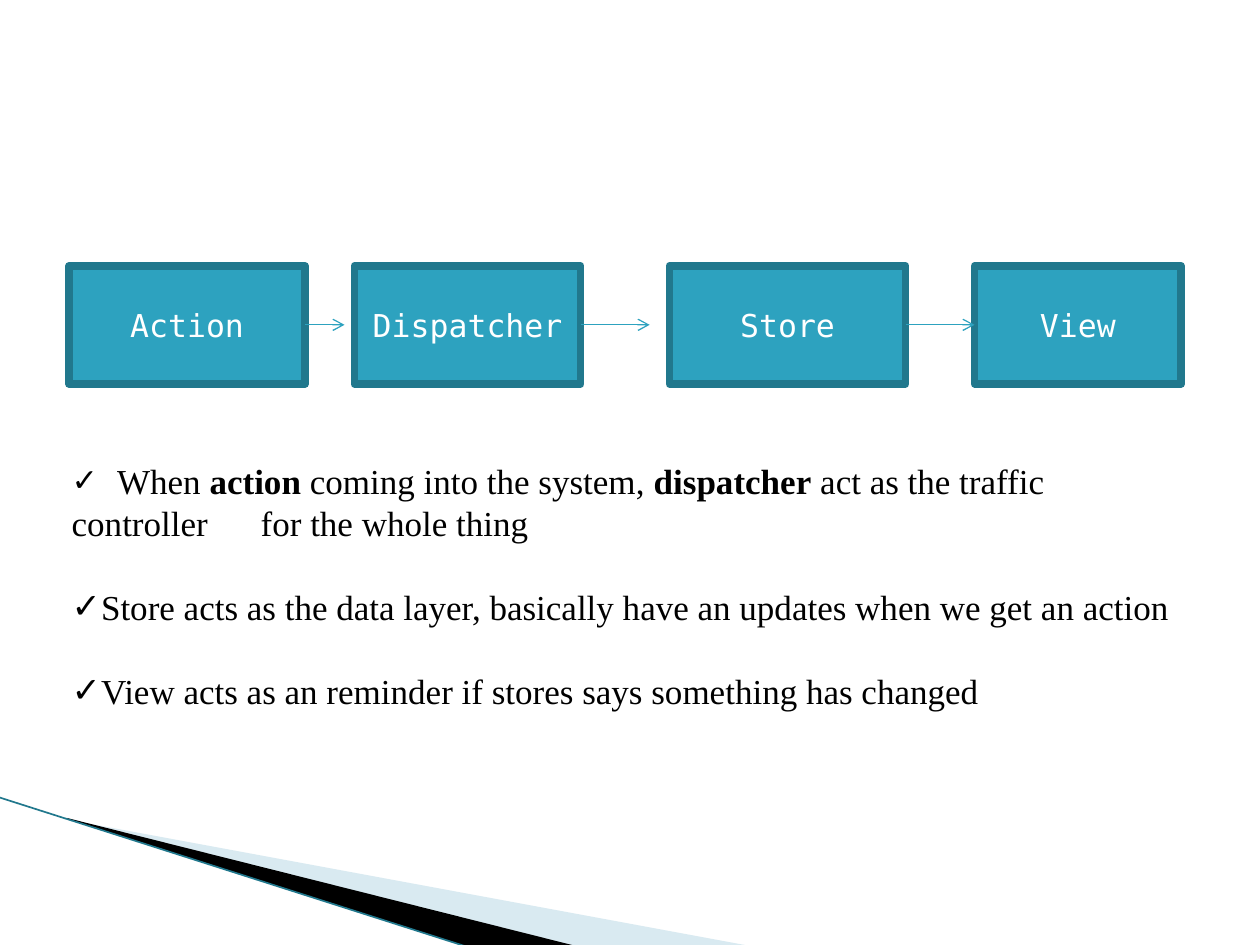
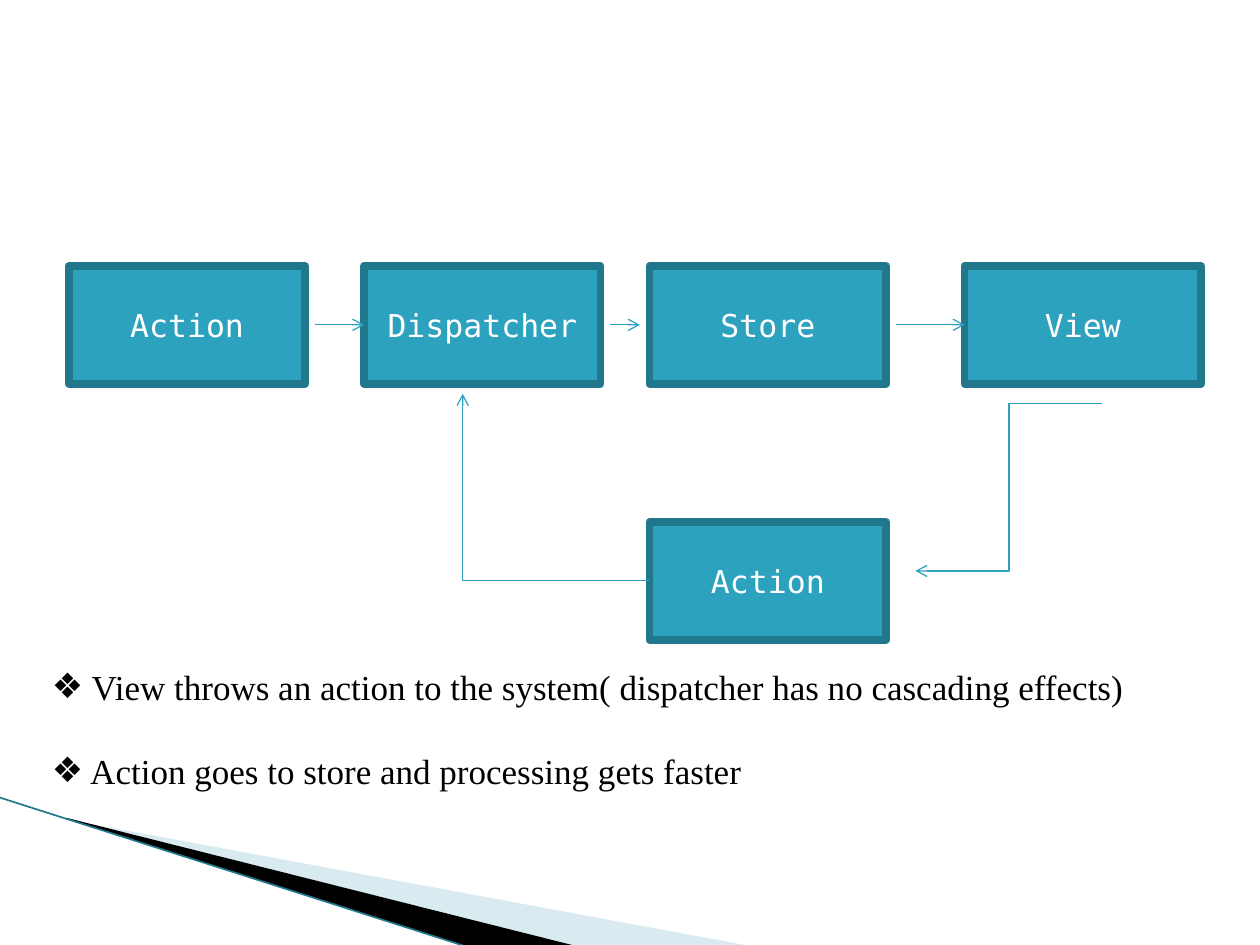
"""Build two flow-diagram slides with a shared corner band."""
from dataclasses import dataclass
from typing import NamedTuple

from pptx import Presentation
from pptx.dml.color import RGBColor as Color
from pptx.enum.shapes import MSO_CONNECTOR as Route, MSO_SHAPE as Preset
from pptx.enum.text import MSO_ANCHOR as Anchor, MSO_AUTO_SIZE as Fit, PP_ALIGN as Align
from pptx.oxml.ns import qn
from pptx.oxml.xmlchemy import OxmlElement as make
from pptx.util import Emu, Inches, Pt

COLUMNS = 128
CELL = Inches(10) / COLUMNS


@dataclass(frozen=True)
class Theme:
    """Colours, fonts and type sizes of the deck."""
    fill: Color = Color.from_string("2DA2BF")
    edge: Color = Color.from_string("21788D")
    pale: Color = Color.from_string("A0CBDC")
    ink: Color = Color.from_string("000000")
    paper: Color = Color.from_string("FFFFFF")
    code_font: str = "DejaVu Sans Mono"
    text_font: str = "Times New Roman"
    code_size: Pt = Pt(18)
    text_size: Pt = Pt(20)
    leading: Pt = Pt(24)
    box_line: Pt = Pt(4.33)
    arrow_line: Pt = Pt(0.75)
    band_line: Pt = Pt(0.95)


class Node(NamedTuple):
    """A labelled box on the grid."""
    label: str
    column: int
    row: int = 27
    columns: int = 24
    rows: int = 12


class Arrow(NamedTuple):
    """An arrow between two grid points."""
    start: tuple[float, float]
    end: tuple[float, float]
    kind: str = "line"


class Span(NamedTuple):
    """A run of body text."""
    text: str
    bold: bool = False
    code: bool = False


class Notes(NamedTuple):
    """A bulleted list and its grid frame."""
    bullet: str
    frame: tuple[int, int, int, int]
    items: list[list[Span]]


class Flow(NamedTuple):
    """Everything on one slide."""
    nodes: list[Node]
    arrows: list[Arrow]
    notes: Notes


THEME = Theme()


def cells(*counts: float) -> list[Emu]:
    """Turn grid counts into lengths."""
    return [Emu(round(count * CELL)) for count in counts]


def level(start: int, end: int) -> Arrow:
    """Return a horizontal arrow through the middle of the top row."""
    return Arrow((start, 33), (end, 33))


def add_line(slide, start, end, color: Color, width: Pt, route=Route.STRAIGHT):
    """Draw a line without shadow."""
    line = slide.shapes.add_connector(route, *cells(*start, *end))
    line.line.color.rgb = color
    line.line.width = width
    line.element.spPr.append(make("a:effectLst"))
    return line


def add_wedge(slide, points: list[tuple[float, float]], color: Color, opacity: int = 100) -> None:
    """Draw one filled wedge of the corner band."""
    first, *rest = [tuple(cells(*point)) for point in points]
    builder = slide.shapes.build_freeform(*first)
    builder.add_line_segments(rest, close=True)
    wedge = builder.convert_to_shape()
    wedge.shadow.inherit = False
    wedge.line.fill.background()
    wedge.fill.solid()
    wedge.fill.fore_color.rgb = color
    alpha = make("a:alpha")
    alpha.set("val", str(opacity * 1000))
    wedge.element.spPr.find(".//" + qn("a:srgbClr")).append(alpha)


def add_band(slide) -> None:
    """Draw the corner band and hand it to the layout."""
    known = len(slide.shapes)
    add_wedge(slide, [(7, 83.3), (76.2, 96.1), (58.4, 96.1), (7, 83.2)], THEME.pale, 40)
    add_wedge(slide, [(6.8, 83.1), (58.5, 96.1), (47.6, 96.2), (6.9, 83.2)], THEME.ink)
    add_line(slide, (-0.1, 81), (47.5, 96.2), THEME.edge, THEME.band_line)
    for place, shape in enumerate(list(slide.shapes)[known:], start=2):
        slide.slide_layout.shapes.element.insert(place, shape.element)


def add_node(slide, node: Node) -> None:
    """Draw one box of the flow."""
    frame = cells(node.column, node.row, node.columns, node.rows)
    box = slide.shapes.add_shape(Preset.RECTANGLE, *frame)
    box.shadow.inherit = False
    box.fill.solid()
    box.fill.fore_color.rgb = THEME.fill
    box.line.color.rgb = THEME.edge
    box.line.width = THEME.box_line
    box.line.fill._xPr.append(make("a:round"))
    box.text_frame.vertical_anchor = Anchor.MIDDLE
    para = box.text_frame.paragraphs[0]
    para.alignment = Align.CENTER
    span = para.add_run()
    span.text = node.label
    span.font.name = THEME.code_font
    span.font.size = THEME.code_size
    span.font.color.rgb = THEME.paper


def add_arrow(slide, arrow: Arrow) -> None:
    """Draw one arrow of the flow, straight or bent."""
    route = Route.STRAIGHT if arrow.kind == "line" else Route.ELBOW
    line = add_line(slide, arrow.start, arrow.end, THEME.fill, THEME.arrow_line, route)
    head = make("a:tailEnd")
    head.set("type", "arrow")
    line.element.spPr.find(qn("a:ln")).append(head)
    if arrow.kind == "corner":
        line.element.spPr.find(qn("a:prstGeom")).set("prst", "bentConnector2")
        turn = line.element.spPr.find(qn("a:xfrm"))
        for flip in ("flipH", "flipV"):
            turn.attrib.pop(flip, None)
        turn.set("rot", "10800000")


def add_notes(slide, notes: Notes) -> None:
    """Fill the body placeholder with the bulleted list."""
    body = slide.placeholders[1]
    body.left, body.top, body.width, body.height = cells(*notes.frame)
    frame = body.text_frame
    frame.word_wrap = True
    frame.auto_size = Fit.NONE
    frame.vertical_anchor = Anchor.TOP
    for index, item in enumerate(notes.items):
        para = frame.add_paragraph() if index else frame.paragraphs[0]
        para.line_spacing = THEME.leading
        para.space_before = THEME.leading if index else Pt(0)
        layout = para._p.get_or_add_pPr()
        layout.set("marL", "0")
        layout.set("indent", "0")
        bullet = make("a:buChar")
        bullet.set("char", notes.bullet)
        layout.append(bullet)
        for part in item:
            span = para.add_run()
            span.text = part.text
            span.font.name = THEME.code_font if part.code else THEME.text_font
            span.font.size = THEME.code_size if part.code else THEME.text_size
            span.font.bold = part.bold
            span.font.color.rgb = THEME.ink


FLOWS = [
    Flow(
        [Node("Action", 7), Node("Dispatcher", 36, columns=23),
         Node("Store", 68), Node("View", 99, columns=21)],
        [level(31, 35), level(92, 99), level(59, 66)],
        Notes("✓", (6, 46, 115, 31), [
            [Span(" ", code=True), Span("When "), Span("action", bold=True),
             Span(" coming into the system, "), Span("dispatcher", bold=True),
             Span(" act as the traffic controller \tfor the whole thing")],
            [Span("Store acts as the data layer, basically have an updates when we get an action")],
            [Span("View acts as an reminder if stores says something has changed")],
        ]),
    ),
    Flow(
        [Node("Action", 7), Node("Dispatcher", 37), Node("Store", 66),
         Node("View", 98), Node("Action", 66, row=53)],
        [Arrow((112, 41), (93, 58), "elbow"), Arrow((66, 59), (47, 40), "corner"),
         level(32, 37), level(91, 98), level(62, 65)],
        Notes("❖", (4, 67, 117, 14), [
            [Span(" View throws an action to the system( dispatcher has no cascading effects)")],
            [Span(" Action goes to store and processing gets faster")],
        ]),
    ),
]


def build() -> None:
    """Build and save the deck."""
    deck = Presentation()
    deck.slide_width, deck.slide_height = Inches(10), Inches(7.5)
    for index, flow in enumerate(FLOWS):
        slide = deck.slides.add_slide(deck.slide_layouts[1])
        title = slide.shapes.title.element
        title.getparent().remove(title)
        if index == 0:
            add_band(slide)
        for node in flow.nodes:
            add_node(slide, node)
        for arrow in flow.arrows:
            add_arrow(slide, arrow)
        add_notes(slide, flow.notes)
    deck.save("out.pptx")


build()
